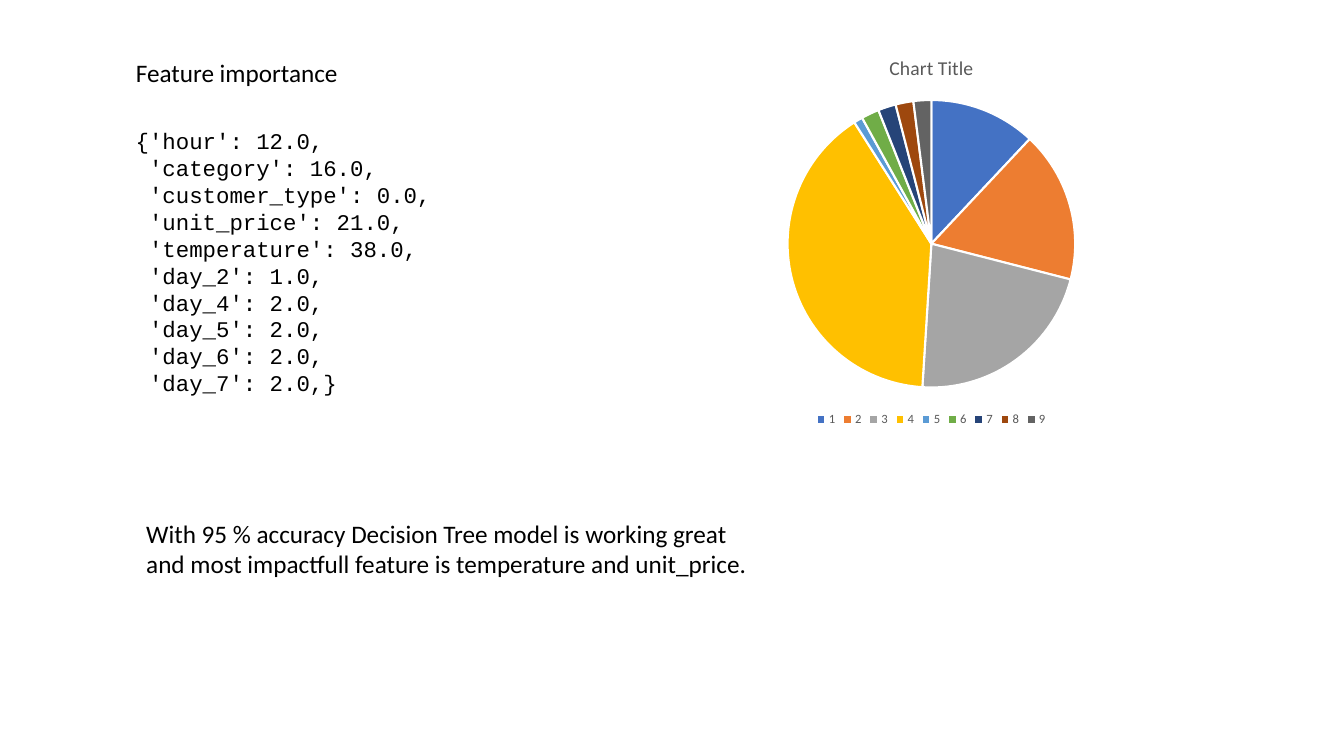
from dataclasses import dataclass

from lxml import etree
from pptx import Presentation
from pptx import util as u
from pptx.chart.data import CategoryChartData
from pptx.dml.color import RGBColor
from pptx.enum import chart as charts, text
from pptx.oxml import parse_xml
from pptx.oxml.ns import nsdecls

WIDTH, HEIGHT = 13.33, 7.5


@dataclass(frozen=True)
class Theme:
    """Colours, fonts and type sizes of the slide."""
    ink: str = "000000"
    muted: str = "595959"
    paper: str = "FFFFFF"
    slices: tuple = ("4472C4", "ED7D31", "A5A5A5", "FFC000", "5B9BD5",
                     "70AD47", "264478", "9E480E", "636363")
    sans: str = "Calibri"
    mono: str = "Courier New"
    body: float = 18
    code: float = 16
    code_pitch: float = 19.2
    chart_title: float = 14
    legend: float = 9


THEME = Theme()
IMPORTANCE = {"hour": 12, "category": 16, "customer_type": 0, "unit_price": 21,
              "temperature": 38, "day_2": 1, "day_4": 2, "day_5": 2,
              "day_6": 2, "day_7": 2}
FIRST_GROUP = 4
CONCLUSION = ("With 95 % accuracy Decision Tree model is working great "
              "and most impactfull feature is temperature and unit_price.")


def share(left, top, width, height):
    """Turn percentages of the slide's size into a box of lengths."""
    return (u.Inches(left * WIDTH / 100), u.Inches(top * HEIGHT / 100),
            u.Inches(width * WIDTH / 100), u.Inches(height * HEIGHT / 100))


def style(font, name, size, color):
    """Set the face, size and colour of a font."""
    font.name, font.size, font.bold = name, u.Pt(size), False
    font.color.rgb = RGBColor.from_string(color)


def fill_text(shape, content, name, size):
    """Write left-aligned, wrapped text into a shape and format its runs."""
    frame = shape.text_frame
    frame.text = content
    frame.word_wrap = True
    frame.auto_size = text.MSO_AUTO_SIZE.NONE
    frame.vertical_anchor = text.MSO_ANCHOR.TOP
    for paragraph in frame.paragraphs:
        paragraph.alignment = text.PP_ALIGN.LEFT
        for run in paragraph.runs:
            style(run.font, name, size, THEME.ink)
    return frame


def add_heading(slide, box):
    """Move the title placeholder into the box and write the heading."""
    title = slide.shapes.title
    title.left, title.top, title.width, title.height = box
    fill_text(title, "Feature importance", THEME.sans, THEME.body)


def add_listing(slide, box):
    """List every feature with its importance as a dictionary."""
    lines = [f" '{name}': {value:.1f}," for name, value in IMPORTANCE.items()]
    lines[0] = "{" + lines[0].lstrip()
    lines[-1] += "}"
    groups = lines[:FIRST_GROUP], lines[FIRST_GROUP:]
    content = "\n".join("\v".join(group) for group in groups)
    frame = fill_text(slide.shapes.add_textbox(*box), content, THEME.mono, THEME.code)
    for paragraph in frame.paragraphs:
        paragraph.line_spacing = u.Pt(THEME.code_pitch)


def add_conclusion(slide, box):
    """Write the closing statement."""
    fill_text(slide.shapes.add_textbox(*box), CONCLUSION, THEME.sans, THEME.body)


def place_plot(chart, **shares):
    """Fix the plot's inner area as shares of the chart's size."""
    plot_area = chart.plots[0]._element.getparent()
    for old in plot_area.findall("{*}layout"):
        plot_area.remove(old)
    layout = parse_xml(f"<c:layout {nsdecls('c')}><c:manualLayout/></c:layout>")
    settings = {"layoutTarget": "inner", "xMode": "edge", "yMode": "edge", **shares}
    namespace = etree.QName(layout).namespace
    for name, value in settings.items():
        etree.SubElement(layout[0], f"{{{namespace}}}{name}").set("val", str(value))
    plot_area.insert(0, layout)


def add_importance_pie(slide, box):
    """Draw the percentage of each feature that has any importance."""
    values = [value for value in IMPORTANCE.values() if value]
    data = CategoryChartData()
    data.categories = [str(number + 1) for number in range(len(values))]
    data.add_series("Series 1", [round(100 * value / sum(values)) for value in values])
    chart = slide.shapes.add_chart(charts.XL_CHART_TYPE.PIE, *box, data).chart
    style(chart.font, THEME.sans, THEME.legend, THEME.muted)
    chart.has_title = True
    chart.chart_title.text_frame.text = "Chart Title"
    chart.chart_title.include_in_layout = False
    title_run = chart.chart_title.text_frame.paragraphs[0].runs[0]
    style(title_run.font, THEME.sans, THEME.chart_title, THEME.muted)
    chart.has_legend = True
    chart.legend.position = charts.XL_LEGEND_POSITION.BOTTOM
    chart.legend.include_in_layout = False
    style(chart.legend.font, THEME.sans, THEME.legend, THEME.muted)
    plot = chart.plots[0]
    plot.vary_by_categories = True
    for index, color in enumerate(THEME.slices):
        form = plot.series[0].points[index].format
        form.fill.solid()
        form.fill.fore_color.rgb = RGBColor.from_string(color)
        form.line.color.rgb = RGBColor.from_string(THEME.paper)
        form.line.width = u.Pt(1.5)
    place_plot(chart, x=0.34, y=0.16, w=0.32, h=0.73)


def build_slide(presentation):
    """Lay out the feature importance slide."""
    slide = presentation.slides.add_slide(presentation.slide_layouts[5])
    add_listing(slide, share(9.36, 16.2, 56.7, 37.2))
    add_heading(slide, share(9.36, 6.9, 22.5, 5.35))
    add_importance_pie(slide, share(35.45, 4.9, 67.7, 52.1))
    add_conclusion(slide, share(10.14, 67.9, 47, 9.4))


presentation = Presentation()
presentation.slide_width = u.Inches(WIDTH)
presentation.slide_height = u.Inches(HEIGHT)
build_slide(presentation)
presentation.save("out.pptx")
